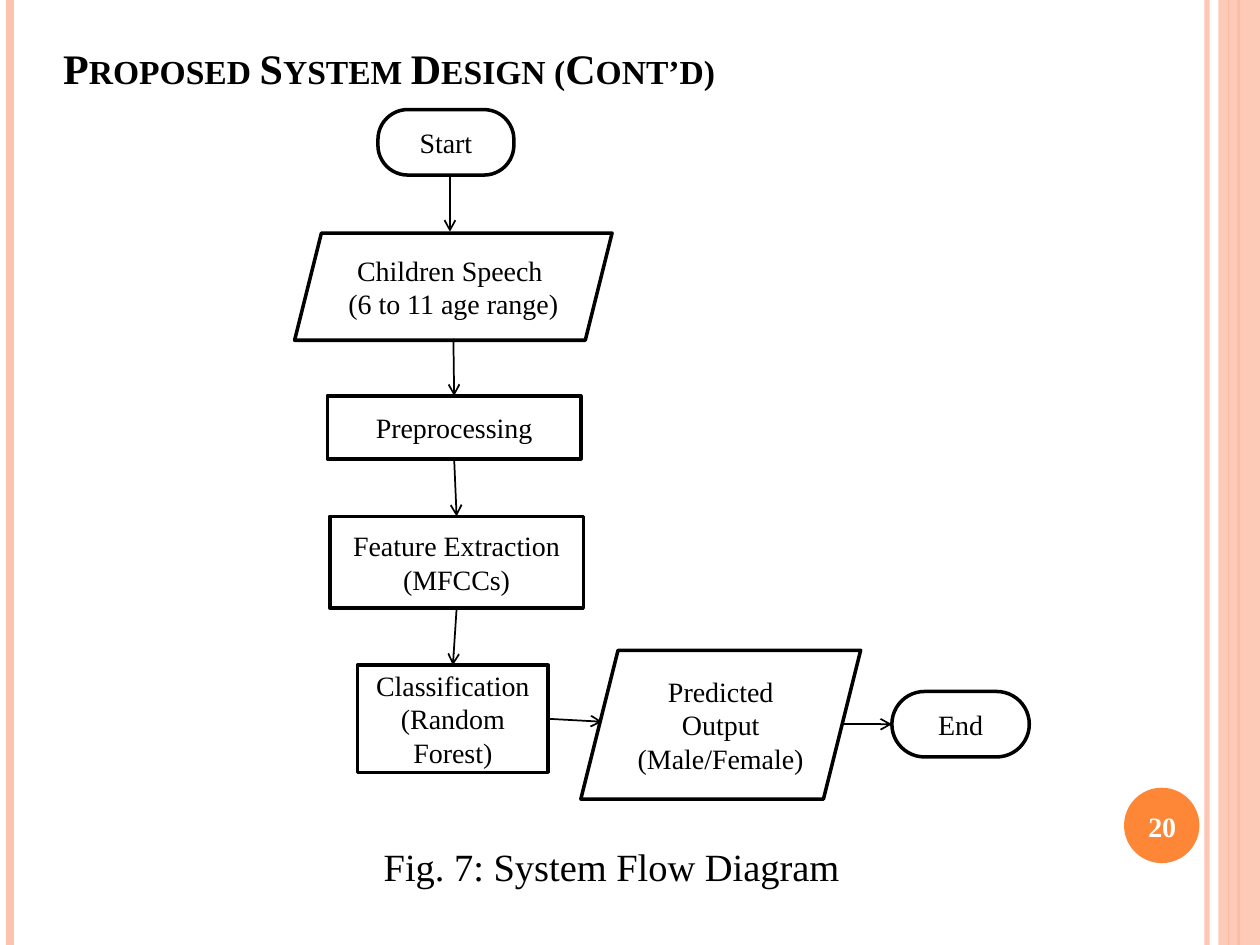
import pptx
import pptx.util
import pptx.dml.color
import pptx.enum.shapes
import pptx.enum.text
import pptx.oxml.ns
import lxml.etree

Cm = pptx.util.Cm
Pt = pptx.util.Pt
SHAPES = pptx.enum.shapes.MSO_SHAPE
ALIGN = pptx.enum.text.PP_ALIGN
ANCHOR = pptx.enum.text.MSO_ANCHOR
qn = pptx.oxml.ns.qn

FONT = "Times New Roman"
COLORS = {"ink": "000000", "paper": "FFFFFF", "accent": "FE8637", "blush": "FEC3AE"}
WIDTH, HEIGHT = 25.4, 19.05
TOP, LEFT, BOTTOM, RIGHT = range(4)

TITLE = "Proposed System Design (Cont’d)"
CAPTION = "Fig. 7: System Flow Diagram"
PAGE_NUMBER = "20"

STRIPES = [
    (24.33, "blush", 3, 93),
    (0.2, "blush", 4.5, 100),
    (24.97, "accent", 1.5, 100),
    (24.77, "accent", 0.75, 100),
]
STEPS = {
    "start": ("Start", SHAPES.ROUNDED_RECTANGLE, (7.62, 2.21, 2.74, 1.32)),
    "speech": ("Children Speech \n(6 to 11 age range)", SHAPES.PARALLELOGRAM, (5.94, 4.7, 6.4, 2.16)),
    "preprocessing": ("Preprocessing", SHAPES.RECTANGLE, (6.6, 7.98, 5.11, 1.27)),
    "features": ("Feature Extraction\n(MFCCs)", SHAPES.RECTANGLE, (6.65, 10.41, 5.11, 1.85)),
    "classification": ("Classification\n(Random Forest)", SHAPES.RECTANGLE, (7.21, 13.41, 3.84, 2.16)),
    "output": ("Predicted Output\n(Male/Female)", SHAPES.PARALLELOGRAM, (11.71, 13.11, 5.64, 3)),
    "end": ("End", SHAPES.ROUNDED_RECTANGLE, (17.98, 13.94, 2.77, 1.32)),
}
ROUNDING = {"start": 0.456, "end": 0.5}
ARROWS = [
    ((9.07, 3.53, 9.07, 4.67), None, None),
    ((9.14, 6.83, 9.14, 7.98), None, ("preprocessing", TOP)),
    ((9.14, 9.25, 9.14, 10.41), ("preprocessing", BOTTOM), ("features", TOP)),
    ((9.14, 12.27, 9.14, 13.41), ("features", BOTTOM), ("classification", TOP)),
    ((11.02, 14.55, 12.14, 14.55), ("classification", RIGHT), None),
    ((16.97, 14.6, 17.98, 14.6), None, ("end", LEFT)),
]


def rgb(name):
    return pptx.dml.color.RGBColor.from_string(COLORS[name])


def set_opacity(shape, percent):
    if percent < 100:
        color = next(shape.element.iter(qn("a:srgbClr")))
        lxml.etree.SubElement(color, qn("a:alpha"), val=str(percent * 1000))


def write(shape, text, size, color="ink", bold=False, align=ALIGN.CENTER, anchor=ANCHOR.MIDDLE):
    frame = shape.text_frame
    frame.text = text
    frame.word_wrap = True
    frame.vertical_anchor = anchor
    for paragraph in frame.paragraphs:
        paragraph.alignment = align
        for run in paragraph.runs:
            run.font.name = FONT
            run.font.size = Pt(size)
            run.font.bold = bold
            run.font.color.rgb = rgb(color)


def add_shape(slide, kind, box, fill, outline=None):
    shape = slide.shapes.add_shape(kind, *map(Cm, box))
    shape.shadow.inherit = False
    shape.fill.solid()
    shape.fill.fore_color.rgb = rgb(fill)
    if outline:
        shape.line.color.rgb = rgb(outline)
        shape.line.width = Pt(2)
    else:
        shape.line.fill.background()
    return shape


def add_line(slide, ends, color, width):
    straight = pptx.enum.shapes.MSO_CONNECTOR.STRAIGHT
    line = slide.shapes.add_connector(straight, *map(Cm, ends))
    line.line.color.rgb = rgb(color)
    line.line.width = Pt(width)
    lxml.etree.SubElement(line.element.spPr, qn("a:effectLst"))
    return line


def add_frame(slide):
    for x, color, width, opacity in STRIPES:
        set_opacity(add_line(slide, (x, 0, x, HEIGHT), color, width), opacity)
    band = add_shape(slide, SHAPES.RECTANGLE, (24.56, 0, 0.84, HEIGHT), "blush")
    set_opacity(band, 87)
    add_shape(slide, SHAPES.OVAL, (22.66, 15.88, 1.52, 1.52), "accent")


def add_title(slide):
    title = slide.shapes.title
    title.left, title.top, title.width, title.height = map(Cm, (1.02, -0.33, 20.75, 3.18))
    write(title, TITLE, 24, bold=True, align=ALIGN.LEFT)
    frame = title.text_frame
    frame.auto_size = pptx.enum.text.MSO_AUTO_SIZE.NONE
    frame.margin_top = Cm(0.35)
    frame.margin_bottom = Cm(0.13)
    for properties in title.element.iter(qn("a:rPr")):
        properties.set("cap", "small")


def add_flow(slide):
    steps = {}
    for name, (text, kind, box) in STEPS.items():
        steps[name] = add_shape(slide, kind, box, "paper", "ink")
        if name in ROUNDING:
            steps[name].adjustments[0] = ROUNDING[name]
        write(steps[name], text, 16)
    for ends, source, target in ARROWS:
        arrow = add_line(slide, ends, "ink", 1)
        outline = next(arrow.element.iter(qn("a:ln")))
        lxml.etree.SubElement(outline, qn("a:tailEnd"), type="arrow")
        if source:
            arrow.begin_connect(steps[source[0]], source[1])
        if target:
            arrow.end_connect(steps[target[0]], target[1])


def main():
    presentation = pptx.Presentation()
    presentation.slide_width, presentation.slide_height = Cm(WIDTH), Cm(HEIGHT)
    slide = presentation.slides.add_slide(presentation.slide_layouts[5])
    add_frame(slide)
    add_title(slide)
    caption = slide.shapes.add_textbox(*map(Cm, (6.45, 16.87, 11.76, 1.19)))
    write(caption, CAPTION, 22, anchor=ANCHOR.TOP)
    number = slide.shapes.add_textbox(*map(Cm, (22.58, 15.93, 1.7, 1.45)))
    write(number, PAGE_NUMBER, 16, "paper", bold=True)
    add_flow(slide)
    presentation.save("out.pptx")


if __name__ == "__main__":
    main()
